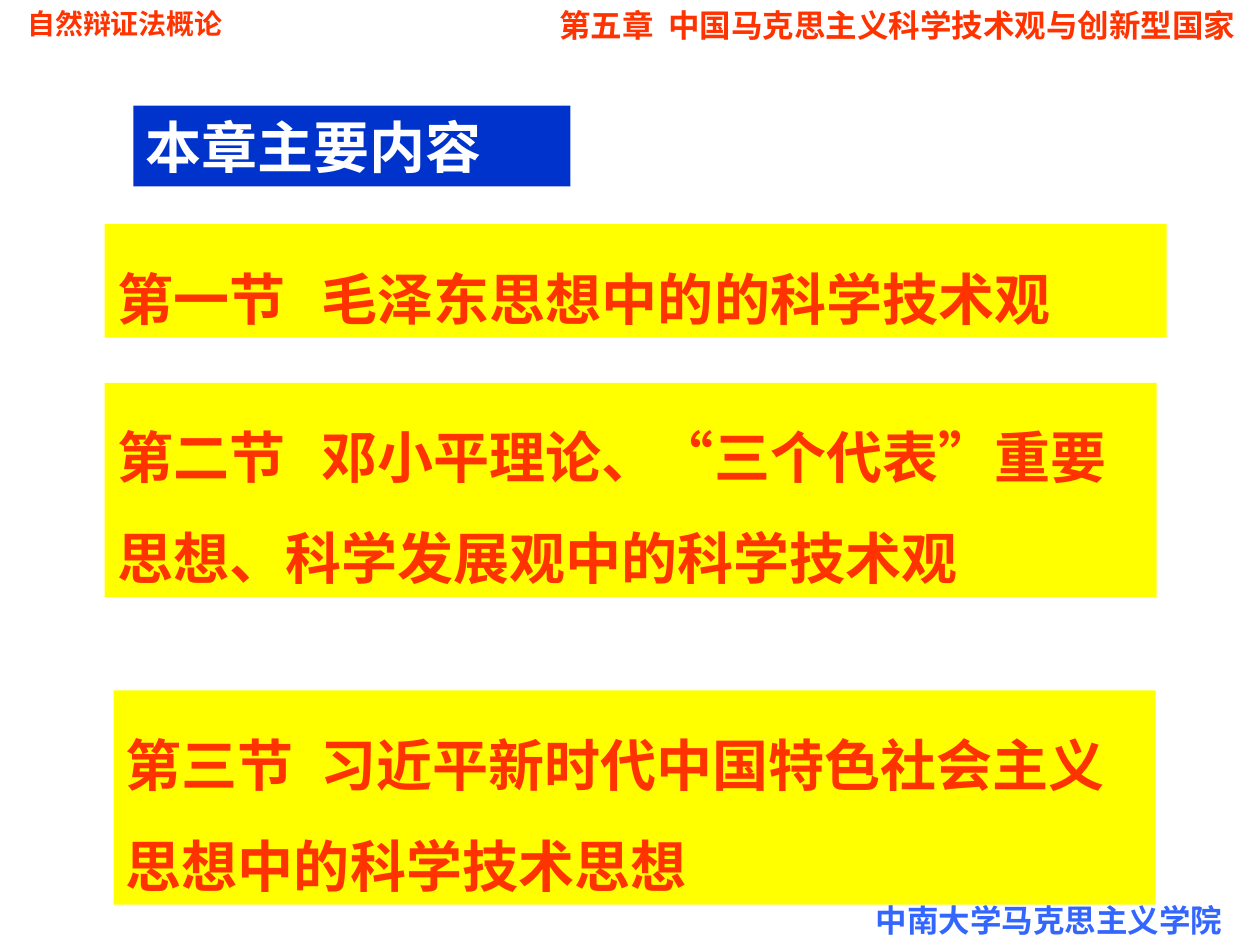
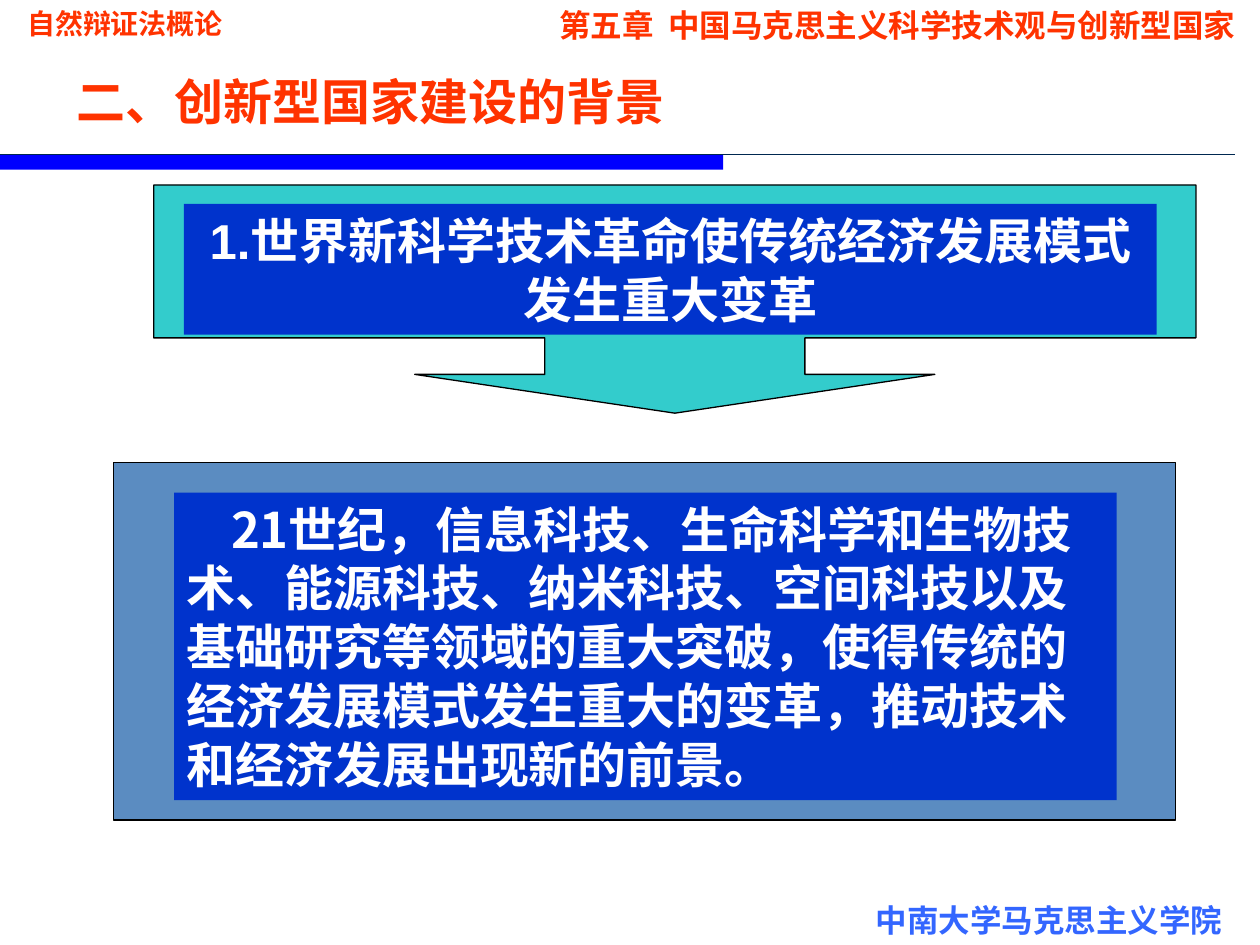
from lxml import etree
from pptx import Presentation
from pptx.dml.color import RGBColor
from pptx.enum.lang import MSO_LANGUAGE_ID
from pptx.enum.shapes import MSO_CONNECTOR, MSO_SHAPE
from pptx.enum.text import MSO_ANCHOR, PP_ALIGN
from pptx.oxml.ns import qn
from pptx.util import Cm, Pt

RECTANGLE = MSO_SHAPE.RECTANGLE
ARROW_CALLOUT = MSO_SHAPE.DOWN_ARROW_CALLOUT
STRAIGHT = MSO_CONNECTOR.STRAIGHT
TOP = MSO_ANCHOR.TOP
LEFT, CENTER, RIGHT = PP_ALIGN.LEFT, PP_ALIGN.CENTER, PP_ALIGN.RIGHT
CHINESE = MSO_LANGUAGE_ID.SIMPLIFIED_CHINESE

LATIN_FONT = "Arial"
CJK_FONT = "Noto Sans CJK SC"
LINE_WIDTH = Pt(0.75)
COLORS = {
    "heading": "FF3300",
    "school": "3366FF",
    "panel": "0033CC",
    "section": "FFFF00",
    "bar": "0000FF",
    "rule": "002850",
    "callout": "33CCCC",
    "frame": "5B8CC1",
    "outline": "000000",
    "white": "FFFFFF",
}


def rgb(name):
    return RGBColor.from_string(COLORS[name])


def write_text(shape, text, size, color, font=LATIN_FONT, align=LEFT,
               line_spacing=None, first_indent=0, tab_stop=None,
               right_inset=0.25):
    """Format one bold paragraph; indent, tab and inset are in centimetres."""
    frame = shape.text_frame
    frame.word_wrap = True
    frame.vertical_anchor = TOP
    frame.margin_left, frame.margin_right = Cm(0.25), Cm(right_inset)
    frame.margin_top = frame.margin_bottom = Cm(0.13)

    paragraph = frame.paragraphs[0]
    paragraph.alignment = align
    if line_spacing:
        paragraph.line_spacing = line_spacing
    properties = paragraph._p.get_or_add_pPr()
    if first_indent:
        properties.set("indent", str(Cm(first_indent)))
    if tab_stop:
        tabs = etree.SubElement(properties, qn("a:tabLst"))
        etree.SubElement(tabs, qn("a:tab"), pos=str(Cm(tab_stop)), algn="l")

    run = paragraph.add_run()
    run.text = text
    run.font.name = font
    run.font.size = Pt(size)
    run.font.bold = True
    run.font.color.rgb = rgb(color)
    run.font.language_id = CHINESE
    latin = run._r.rPr.find(qn("a:latin"))
    latin.addnext(etree.Element(qn("a:ea"), typeface=CJK_FONT))


def add_label(slide, box, text, size, color, **text_format):
    label = slide.shapes.add_textbox(*map(Cm, box))
    write_text(label, text, size, color, **text_format)


def add_block(slide, box, fill, outline=None, preset=RECTANGLE):
    block = slide.shapes.add_shape(preset, *map(Cm, box))
    block.shadow.inherit = False
    block.fill.solid()
    block.fill.fore_color.rgb = rgb(fill)
    if outline:
        block.line.color.rgb = rgb(outline)
        block.line.width = LINE_WIDTH
    else:
        block.line.fill.background()
    return block


def add_panel(slide, box, text, size, fill="panel", color="white", **text_format):
    write_text(add_block(slide, box, fill), text, size, color, **text_format)


def add_rule(slide, x1, x2, y):
    rule = slide.shapes.add_connector(STRAIGHT, Cm(x1), Cm(y), Cm(x2), Cm(y))
    rule.line.color.rgb = rgb("rule")
    rule.line.width = LINE_WIDTH
    etree.SubElement(rule._element.spPr, qn("a:effectLst"))


def add_titled_rule(slide, title):
    add_label(slide, (1.3, 1.32, 18.19, 1.45), title, 28, "heading")
    add_block(slide, (0, 3.12, 14.58, 0.3), "bar")
    add_rule(slide, 0, 24.89, 3.12)


def add_course_slide(deck):
    """Add a blank slide with the course, chapter and school lines."""
    slide = deck.slides.add_slide(deck.slide_layouts[6])
    add_label(slide, (0.3, 0, 9.6, 0.94), "自然辩证法概论", 16, "heading")
    add_label(slide, (17.4, 18.03, 8, 1.02), "中南大学马克思主义学院", 18, "school")
    add_label(slide, (10.11, 0, 15.29, 1.02),
              "第五章  中国马克思主义科学技术观与创新型国家", 18, "heading",
              align=RIGHT, right_inset=0.5)
    return slide


def build_contents(deck):
    slide = add_course_slide(deck)
    add_panel(slide, (2.69, 2.13, 8.81, 1.63), "本章主要内容", 32)
    sections = [
        ((2.11, 4.52, 21.41, 2.29), 4.13, "第一节\t毛泽东思想中的的科学技术观"),
        ((2.11, 7.72, 21.21, 4.32), 4.13,
         "第二节\t邓小平理论、“三个代表”重要思想、科学发展观中的科学技术观"),
        ((2.29, 13.92, 21.01, 4.32), 3.92,
         "第三节\t习近平新时代中国特色社会主义思想中的科学技术思想"),
    ]
    for box, tab_stop, text in sections:
        add_panel(slide, box, text, 32, "section", "heading",
                  line_spacing=1.5, tab_stop=tab_stop)


def build_background(deck):
    slide = add_course_slide(deck)
    add_titled_rule(slide, "二、创新型国家建设的背景")

    callout = add_block(slide, (3.1, 3.73, 21.01, 4.6), "callout", "outline",
                        ARROW_CALLOUT)
    for index, value in enumerate((1.14, 1.14, 0.17, 0.67)):
        callout.adjustments[index] = value
    add_panel(slide, (3.71, 4.11, 19.61, 2.64),
              "1.世界新科学技术革命使传统经济发展模式发生重大变革", 28, align=CENTER)

    add_block(slide, (2.29, 9.32, 21.41, 7.21), "frame", "outline")
    add_panel(slide, (3.51, 9.93, 19, 6.2),
              "21世纪，信息科技、生命科学和生物技术、能源科技、纳米科技、空间科技以及"
              "基础研究等领域的重大突破，使得传统的经济发展模式发生重大的变革，"
              "推动技术和经济发展出现新的前景。",
              28, font=CJK_FONT, first_indent=0.9)


def main():
    deck = Presentation()
    deck.slide_width, deck.slide_height = Cm(25.4), Cm(19.05)
    build_contents(deck)
    build_background(deck)
    deck.save("out.pptx")


if __name__ == "__main__":
    main()
